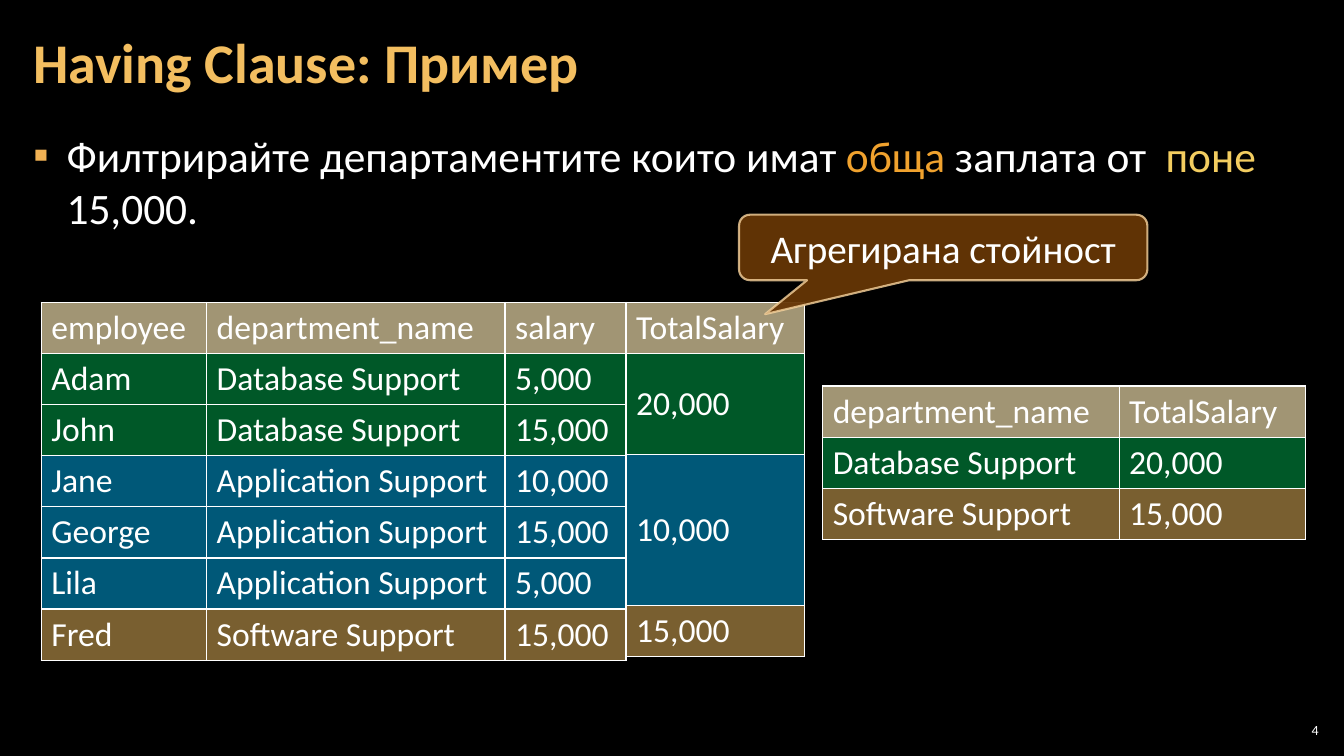
from dataclasses import dataclass

from lxml import etree
from pptx import Presentation
from pptx import util as u
from pptx.dml.color import RGBColor
from pptx.enum import shapes, text
from pptx.oxml.ns import qn


@dataclass(frozen=True)
class Theme:
    font: str = "Calibri"
    background: str = "000000"
    white: str = "FFFFFF"
    title: str = "F3BE60"
    bullet: str = "F2B254"
    orange: str = "F0A22E"
    yellow: str = "F3CD60"
    header: str = "A19574"
    database: str = "00B050"
    application: str = "00B0F0"
    software: str = "F3BE60"
    callout: str = "663606"
    callout_line: str = "F8D49E"
    title_size: float = 40
    body_size: float = 31
    callout_size: float = 28
    table_size: float = 24
    number_size: float = 10


T = Theme()


def rgb(color):
    return RGBColor.from_string(color)


def style_run(r, size, color=T.white, bold=False):
    r.font.name = T.font
    r.font.size = u.Pt(size)
    r.font.bold = bold
    r.font.color.rgb = rgb(color)


def set_alpha(parent, percent):
    color = parent.find(qn("a:solidFill")).find(qn("a:srgbClr"))
    etree.SubElement(color, qn("a:alpha")).set("val", str(percent * 1000))


def set_frame(tf, anchor, x=0.12, y=0.04):
    tf.word_wrap = True
    tf.auto_size = text.MSO_AUTO_SIZE.NONE
    tf.vertical_anchor = anchor
    tf.margin_left = tf.margin_right = u.Inches(x)
    tf.margin_top = tf.margin_bottom = u.Inches(y)


def inches(box):
    return [u.Inches(v) for v in box]


def add_title(s, box, wording):
    sp = s.shapes.title
    sp.left, sp.top, sp.width, sp.height = inches(box)
    tf = sp.text_frame
    tf.text = wording
    set_frame(tf, text.MSO_ANCHOR.MIDDLE)
    p = tf.paragraphs[0]
    p.alignment = text.PP_ALIGN.LEFT
    p.line_spacing = 0.9
    style_run(p.runs[0], T.title_size, T.title, True)


def add_bullet(s, box, parts):
    tf = s.shapes.add_textbox(*inches(box)).text_frame
    set_frame(tf, text.MSO_ANCHOR.TOP)
    p = tf.paragraphs[0]
    pPr = p._p.get_or_add_pPr()
    pPr.set("marL", str(u.Inches(0.33)))
    pPr.set("indent", str(-u.Inches(0.33)))
    color = etree.SubElement(pPr, qn("a:buClr"))
    etree.SubElement(color, qn("a:srgbClr")).set("val", T.bullet)
    etree.SubElement(pPr, qn("a:buFont")).set("typeface", T.font)
    etree.SubElement(pPr, qn("a:buChar")).set("char", "▪")
    p.space_after = u.Pt(6)
    for wording, color in parts:
        r = p.add_run()
        r.text = wording
        style_run(r, T.body_size, color)


def add_borders(cell):
    tcPr = cell._tc.get_or_add_tcPr()
    for i, side in enumerate(("lnL", "lnR", "lnT", "lnB")):
        ln = etree.Element(qn(f"a:{side}"), w=str(u.Pt(1)))
        fill = etree.SubElement(ln, qn("a:solidFill"))
        etree.SubElement(fill, qn("a:srgbClr")).set("val", T.white)
        tcPr.insert(i, ln)


def add_data_table(s, left, top, widths, rows, row_units=None):
    heights = [0.5 * n for n in row_units or [1] * len(rows)]
    box = inches((left, top, sum(widths), sum(heights)))
    table = s.shapes.add_table(len(rows), len(widths), *box).table
    table.first_row = table.horz_banding = False
    for column, width in zip(table.columns, widths):
        column.width = u.Inches(width)
    for i, (color, *values) in enumerate(rows):
        table.rows[i].height = u.Inches(heights[i])
        for j, value in enumerate(values):
            cell = table.cell(i, j)
            cell.text = value
            if heights[i] > 0.5:
                cell.vertical_anchor = text.MSO_ANCHOR.MIDDLE
            style_run(cell.text_frame.paragraphs[0].runs[0], T.table_size)
            cell.fill.solid()
            cell.fill.fore_color.rgb = rgb(color)
            if color != T.header:
                set_alpha(cell._tc.tcPr, 50)
            add_borders(cell)


def add_callout(s, box, wording):
    kind = shapes.MSO_SHAPE.ROUNDED_RECTANGULAR_CALLOUT
    sp = s.shapes.add_shape(kind, *inches(box))
    sp.shadow.inherit = False
    for i, value in enumerate((-0.436, 1.018, 0.167)):
        sp.adjustments[i] = value
    sp.fill.solid()
    sp.fill.fore_color.rgb = rgb(T.callout)
    set_alpha(sp._element.spPr, 95)
    sp.line.color.rgb = rgb(T.callout_line)
    sp.line.width = u.Pt(1.5)
    set_alpha(sp.line._ln, 80)
    tf = sp.text_frame
    tf.text = wording
    set_frame(tf, text.MSO_ANCHOR.MIDDLE)
    p = tf.paragraphs[0]
    p.alignment = text.PP_ALIGN.CENTER
    style_run(p.runs[0], T.callout_size)


def add_slide_number(s, box, number):
    tf = s.shapes.add_textbox(*inches(box)).text_frame
    tf.text = number
    set_frame(tf, text.MSO_ANCHOR.MIDDLE, 0.04)
    p = tf.paragraphs[0]
    p.alignment = text.PP_ALIGN.RIGHT
    style_run(p.runs[0], T.number_size)


def add_having_slide(prs):
    s = prs.slides.add_slide(prs.slide_layouts[5])
    s.background.fill.solid()
    s.background.fill.fore_color.rgb = rgb(T.background)
    add_title(s, (0.21, 0.04, 12.91, 1.21), "Having Clause: Пример")
    add_bullet(s, (0.21, 1.24, 12.91, 6.09), [
        ("Филтрирайте департаментите които имат ", T.white),
        ("обща ", T.orange),
        ("заплата от  ", T.white),
        ("поне ", T.yellow),
        ("15,000.", T.white),
    ])
    database, application, software = (
        "Database Support", "Application Support", "Software Support")
    add_data_table(s, 0.41, 3, (1.64, 2.96, 1.2), [
        (T.header, "employee", "department_name", "salary"),
        (T.database, "Adam", database, "5,000"),
        (T.database, "John", database, "15,000"),
        (T.application, "Jane", application, "10,000"),
        (T.application, "George", application, "15,000"),
        (T.application, "Lila", application, "5,000"),
        (T.software, "Fred", software, "15,000"),
    ])
    add_data_table(s, 6.21, 3, (1.77,), [
        (T.header, "TotalSalary"),
        (T.database, "20,000"),
        (T.application, "10,000"),
        (T.software, "15,000"),
    ], (1, 2, 3, 1))
    add_data_table(s, 8.16, 3.83, (2.94, 1.85), [
        (T.header, "department_name", "TotalSalary"),
        (T.database, database, "20,000"),
        (T.software, software, "15,000"),
    ])
    add_callout(s, (7.33, 2.13, 4.05, 0.65), "Агрегирана стойност")
    add_slide_number(s, (12.65, 7.14, 0.47, 0.21), "4")


def main():
    prs = Presentation()
    prs.slide_width, prs.slide_height = u.Inches(13.33), u.Inches(7.5)
    add_having_slide(prs)
    prs.save("out.pptx")


if __name__ == "__main__":
    main()
